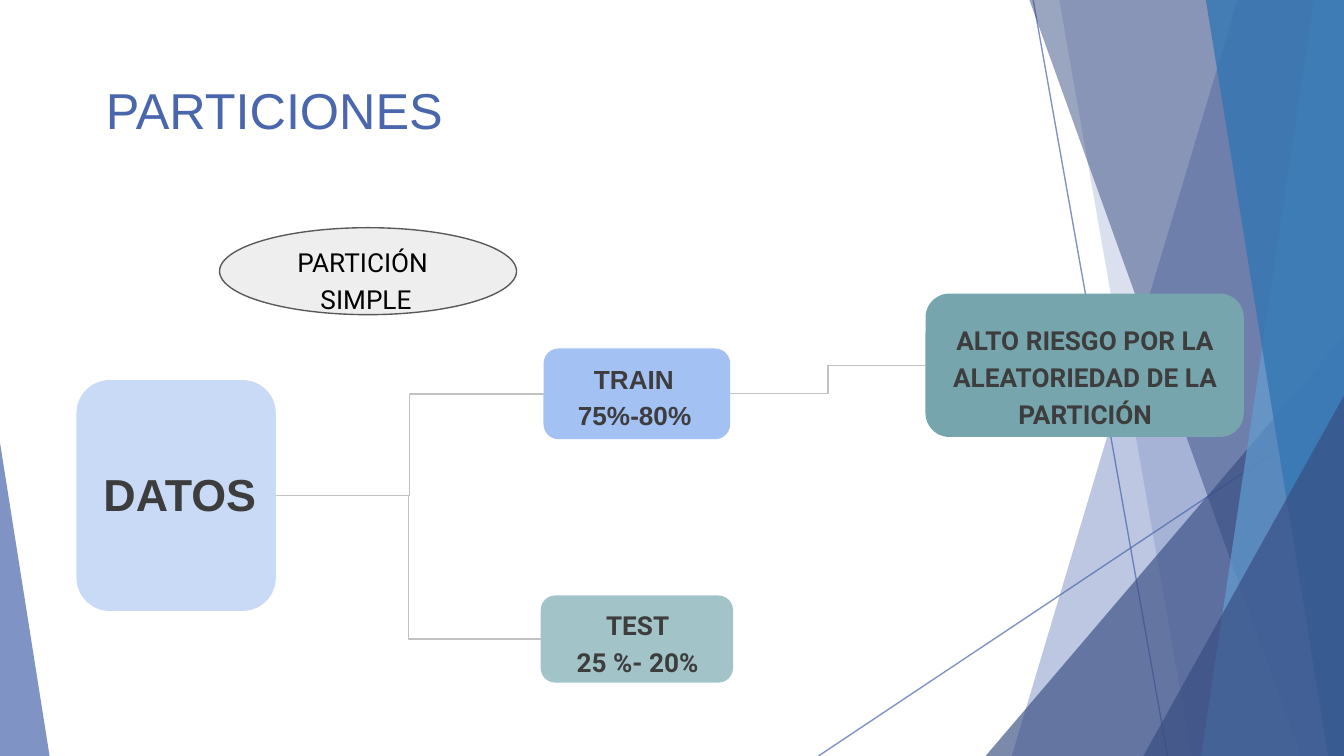
from pptx import Presentation
from pptx.dml.color import RGBColor
from pptx.enum.shapes import MSO_CONNECTOR, MSO_SHAPE
from pptx.enum.text import MSO_ANCHOR, PP_ALIGN
from pptx.oxml.ns import qn
from pptx.oxml.xmlchemy import OxmlElement
from pptx.util import Pt

LINE, ELBOW = MSO_CONNECTOR.STRAIGHT, MSO_CONNECTOR.ELBOW
ROUND, OVAL = MSO_SHAPE.ROUNDED_RECTANGLE, MSO_SHAPE.OVAL
PEAK = MSO_SHAPE.ISOSCELES_TRIANGLE
LEFT, CENTER = PP_ALIGN.LEFT, PP_ALIGN.CENTER
TOP, MIDDLE = MSO_ANCHOR.TOP, MSO_ANCHOR.MIDDLE
WIDE, HIGH = 720, 405
BLUE, NAVY, GRAY, DARK = "4A66AC", "374C81", "C1C1C1", "3D3D3D"

deck = Presentation()
deck.slide_width, deck.slide_height = Pt(WIDE), Pt(HIGH)
slide = deck.slides.add_slide(deck.slide_layouts[6])
shapes = slide.shapes


def paint(fill, color, alpha=100):
    fill.solid()
    fill.fore_color.rgb = RGBColor.from_string(color)
    if alpha < 100:
        node = OxmlElement("a:alpha")
        node.set("val", str(alpha * 1000))
        fill._xPr.find(".//" + qn("a:srgbClr")).append(node)


def write(text, box, size=14, face="Roboto", color=DARK, bold=False,
          align=LEFT, anchor=TOP, space=1.18, pad=(0, 1.4, 0, 0),
          left=0.7, first=0):
    frame = shapes.add_textbox(*map(Pt, box)).text_frame
    frame.word_wrap = True
    frame.vertical_anchor = anchor
    (frame.margin_left, frame.margin_top,
     frame.margin_right, frame.margin_bottom) = map(Pt, pad)
    para = frame.paragraphs[0]
    para.text = text
    para.alignment = align
    para.line_spacing = space
    props = para._p.get_or_add_pPr()
    props.set("marL", str(Pt(left)))
    props.set("indent", str(Pt(first)))
    for run in para.runs:
        run.font.size, run.font.name, run.font.bold = Pt(size), face, bold
        paint(run.font.fill, color)


wires = []
for ends in ((553.5, 0, 625.5, HIGH), (WIDE, 217.4, 438.5, HIGH)):
    wire = shapes.add_connector(LINE, *map(Pt, ends))
    paint(wire.line.fill, BLUE, 70)
    wires.append(wire)

bands = [
    (663, 542, BLUE, 36),
    (567.5, 638.5, BLUE, 20),
    (528, 224.6, NAVY, 66),
    (551.5, 697, NAVY, 50),
    (704, 643.5, "629DD1", 70),
    (646, 711.5, "3477B2", 80),
    (612.5, 212, NAVY, 66),
    (0, 237, BLUE, 70),
]
peaks = {2: (528, WIDE, 180, 1), 6: (612.5, WIDE, 212, 1), 7: (0, 26.6, 237, 0)}
for i, (top, foot, color, alpha) in enumerate(bands):
    if i in peaks:
        x, right, y, tip = peaks[i]
        band = shapes.add_shape(PEAK, Pt(x), Pt(y), Pt(right - x), Pt(HIGH - y))
        band.adjustments[0] = tip
    else:
        path = shapes.build_freeform(Pt(top), 0, 1)
        path.add_line_segments([(Pt(x), Pt(y)) for x, y in
                                ((WIDE, 0), (WIDE, HIGH), (foot, HIGH))])
        band = path.convert_to_shape()
    band.shadow.inherit = False
    paint(band.fill, color, alpha)
    band.line.fill.background()

nodes = {}
for name, kind, box, color in (
    ("risk", ROUND, (495.8, 157.3, 170.5, 76.8), "76A5AE"),
    ("train", ROUND, (291.2, 186.7, 100, 48.6), "A4C1F4"),
    ("data", ROUND, (41, 203.6, 106.8, 123.7), "C9DAF7"),
    ("test", ROUND, (289.7, 319, 103, 46.7), "A2C4C9"),
    ("split", OVAL, (117.6, 122, 159.1, 46.6), "EEEEEE"),
):
    node = shapes.add_shape(kind, *map(Pt, box))
    node.shadow.inherit = False
    paint(node.fill, color)
    node.line.fill.background()
    nodes[name] = node
paint(nodes["split"].line.fill, "595959")
nodes["split"].line.width = Pt(0.75)

for start, end in (("data", "train"), ("data", "test"), ("train", "risk")):
    a, b = nodes[start], nodes[end]
    wire = shapes.add_connector(ELBOW, a.left + a.width, a.top + a.height // 2,
                                b.left, b.top + b.height // 2)
    wire.begin_connect(a, 3)
    wire.end_connect(b, 1)
    paint(wire.line.fill, GRAY)
    wires.append(wire)
for wire in wires:
    wire.line.width = Pt(0.75)
    wire._element.spPr.append(OxmlElement("a:effectLst"))

write("ALTO RIESGO POR LA\vALEATORIEDAD DE LA\vPARTICIÓN",
      (509, 169.2, 144, 52), bold=True, align=CENTER)
write("TRAIN\v75%-80%", (308.9, 190, 72, 41.8), face="Arial", bold=True, first=8.6)
write("DATOS", (54.7, 249, 93.6, 30.2), size=24, face="Arial", bold=True,
      space=1, pad=(0, 0.9, 0, 0))
write("TEST\v25 %- 20%", (308.2, 322, 67, 41.8), bold=True, first=15.8)
write("PARTICIÓN\vSIMPLE", (158.4, 127.4, 78.5, 35.3), color="000000",
      left=13.3, first=-12.4)
write("PARTICIONES", (49.7, 21.6, 620.6, 78.5), size=27, face="Arial", color=BLUE,
      anchor=MIDDLE, space=0.9, pad=(7.2, 3.6, 7.2, 3.6), left=0)

deck.save("out.pptx")
